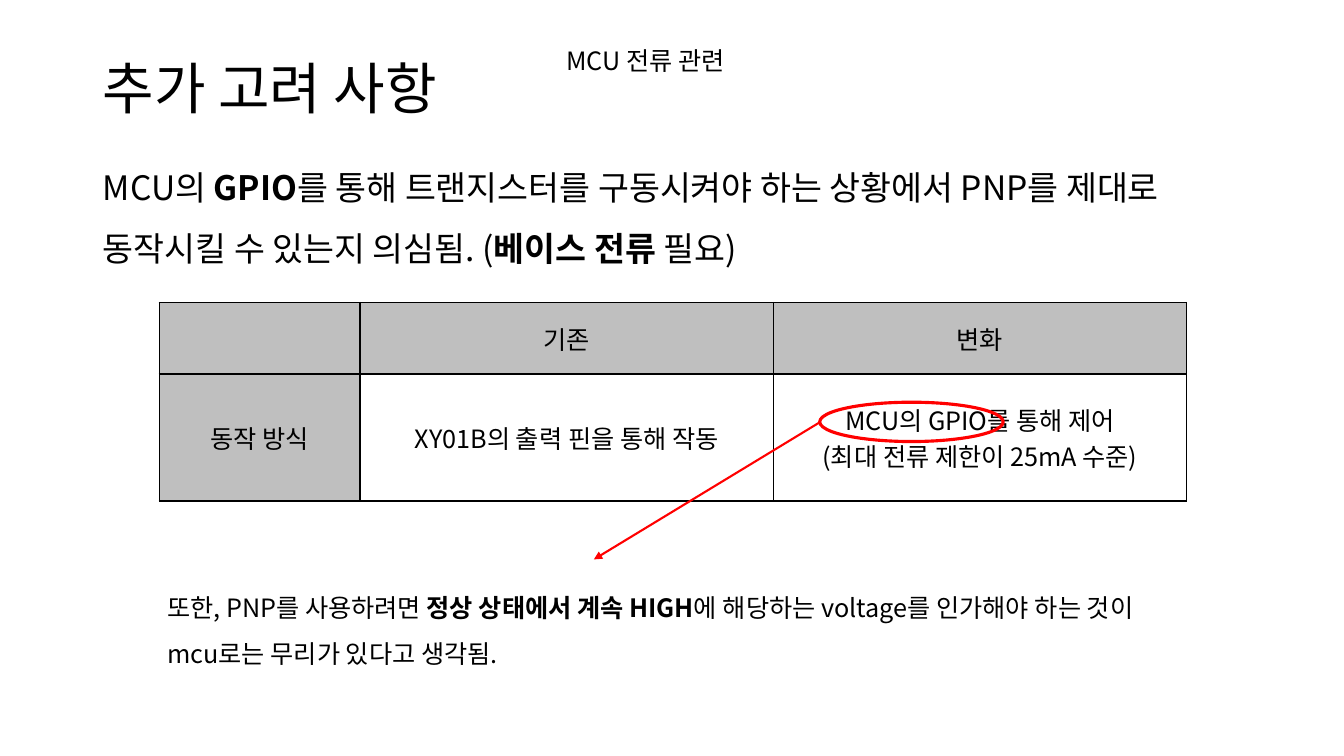
from lxml.etree import SubElement
from pptx import Presentation
from pptx.dml.color import RGBColor
from pptx.enum.shapes import MSO_CONNECTOR as Connector, MSO_SHAPE as Shape
from pptx.enum.text import MSO_ANCHOR as Anchor, MSO_AUTO_SIZE as AutoSize, PP_ALIGN as Align
from pptx.oxml import parse_xml
from pptx.oxml.ns import nsdecls, qn
from pptx.util import Inches, Pt


def color(value):
    return RGBColor.from_string(value)


def write(frame, text, size=18, font="Noto Sans CJK KR", ink="000000",
          align=Align.LEFT, spacing=1.0, before=0):
    """Fill a text frame, one paragraph per line, with **marked** words in bold."""
    for index, line in enumerate(text.split("\n")):
        paragraph = frame.paragraphs[0] if index == 0 else frame.add_paragraph()
        paragraph.alignment = align
        paragraph.line_spacing = spacing
        paragraph.space_before = Pt(before)
        for part, words in enumerate(line.split("**")):
            if not words:
                continue
            run = paragraph.add_run()
            run.text = words
            run.font.size = Pt(size)
            run.font.name = font
            run.font.bold = part % 2 == 1
            run.font.color.rgb = color(ink)
            SubElement(run.font._element, qn("a:ea"), typeface=font)


class SlideBuilder:
    """Holds the slide and the colours shared by its elements."""

    ACCENT = "FF0000"
    HEADER = "BFBFBF"
    BORDER = "000000"

    def __init__(self, presentation):
        self.slide = presentation.slides.add_slide(presentation.slide_layouts[1])

    def place(self, shape, box):
        shape.left, shape.top, shape.width, shape.height = map(Inches, box)

    def title(self, text, box):
        shape = self.slide.shapes.title
        self.place(shape, box)
        shape.text_frame.auto_size = AutoSize.NONE
        shape.text_frame.vertical_anchor = Anchor.MIDDLE
        write(shape.text_frame, text, size=40, spacing=0.9)

    def body(self, text, box):
        shape = self.slide.placeholders[1]
        self.place(shape, box)
        shape.text_frame.auto_size = AutoSize.NONE
        write(shape.text_frame, text, size=24, spacing=1.5, before=10)
        for paragraph in shape.text_frame.paragraphs:
            properties = paragraph._p.get_or_add_pPr()
            properties.set("marL", "0")
            properties.set("indent", "0")
            SubElement(properties, qn("a:buNone"))

    def text(self, text, box, **style):
        frame = self.slide.shapes.add_textbox(*map(Inches, box)).text_frame
        frame.word_wrap = True
        frame.auto_size = AutoSize.SHAPE_TO_FIT_TEXT
        write(frame, text, **style)

    def border(self, cell):
        properties = cell._tc.get_or_add_tcPr()
        for index, side in enumerate(("lnL", "lnR", "lnT", "lnB")):
            properties.insert(index, parse_xml(
                f'<a:{side} {nsdecls("a")} w="{Pt(1)}"><a:solidFill>'
                f'<a:srgbClr val="{self.BORDER}"/></a:solidFill></a:{side}>'))

    def table(self, rows, box, widths, heights):
        table = self.slide.shapes.add_table(
            len(rows), len(widths), *map(Inches, box)).table
        table.horz_banding = False
        for column, width in zip(table.columns, widths):
            column.width = Inches(width)
        for row, height in zip(table.rows, heights):
            row.height = Inches(height)
        for row_index, row in enumerate(rows):
            for column_index, text in enumerate(row):
                cell = table.cell(row_index, column_index)
                cell.vertical_anchor = Anchor.MIDDLE
                if row_index == 0 or column_index == 0:
                    cell.fill.solid()
                    cell.fill.fore_color.rgb = color(self.HEADER)
                else:
                    cell.fill.background()
                self.border(cell)
                write(cell.text_frame, text, align=Align.CENTER)

    def ring(self, box):
        shape = self.slide.shapes.add_shape(Shape.OVAL, *map(Inches, box))
        shape.shadow.inherit = False
        shape.fill.background()
        shape.line.color.rgb = color(self.ACCENT)
        shape.line.width = Pt(2.25)

    def arrow(self, start, end):
        connector = self.slide.shapes.add_connector(
            Connector.STRAIGHT, *map(Inches, start + end))
        connector.line.color.rgb = color(self.ACCENT)
        connector.line.width = Pt(1.5)
        SubElement(connector.line._get_or_add_ln(), qn("a:tailEnd"), type="triangle")
        SubElement(connector._element.spPr, qn("a:effectLst"))


def main():
    presentation = Presentation()
    presentation.slide_width = Inches(13.33)
    presentation.slide_height = Inches(7.5)
    builder = SlideBuilder(presentation)
    builder.title("추가 고려 사항", (0.92, 0.4, 11.5, 1.02))
    builder.body("MCU의 **GPIO**를 통해 트랜지스터를 구동시켜야 하는 상황에서 PNP를 제대로 "
                 "동작시킬 수 있는지 의심됨. (**베이스 전류 **필요)", (0.92, 1.41, 11.5, 1.28))
    builder.text("MCU 전류 관련", (5.52, 0.4, 2.11, 0.4))
    builder.table([
        ["", "기존", "변화"],
        ["동작 방식", "XY01B의 출력 핀을 통해 작동",
         "MCU의 GPIO를 통해 제어\n(최대 전류 제한이 25mA 수준)"],
    ], (1.58, 3, 10.19, 1.97), widths=(1.99, 4.1, 4.1), heights=(0.71, 1.26))
    builder.ring((8.13, 3.99, 1.82, 0.39))
    builder.arrow((8.13, 4.19), (5.89, 5.55))
    builder.text("또한, PNP를 사용하려면 **정상 상태에서 계속 HIGH**에 해당하는 voltage를 "
                 "인가해야 하는 것이 mcu로는 무리가 있다고 생각됨.",
                 (1.56, 5.68, 10.03, 0.95), spacing=1.5)
    presentation.save("out.pptx")


if __name__ == "__main__":
    main()
